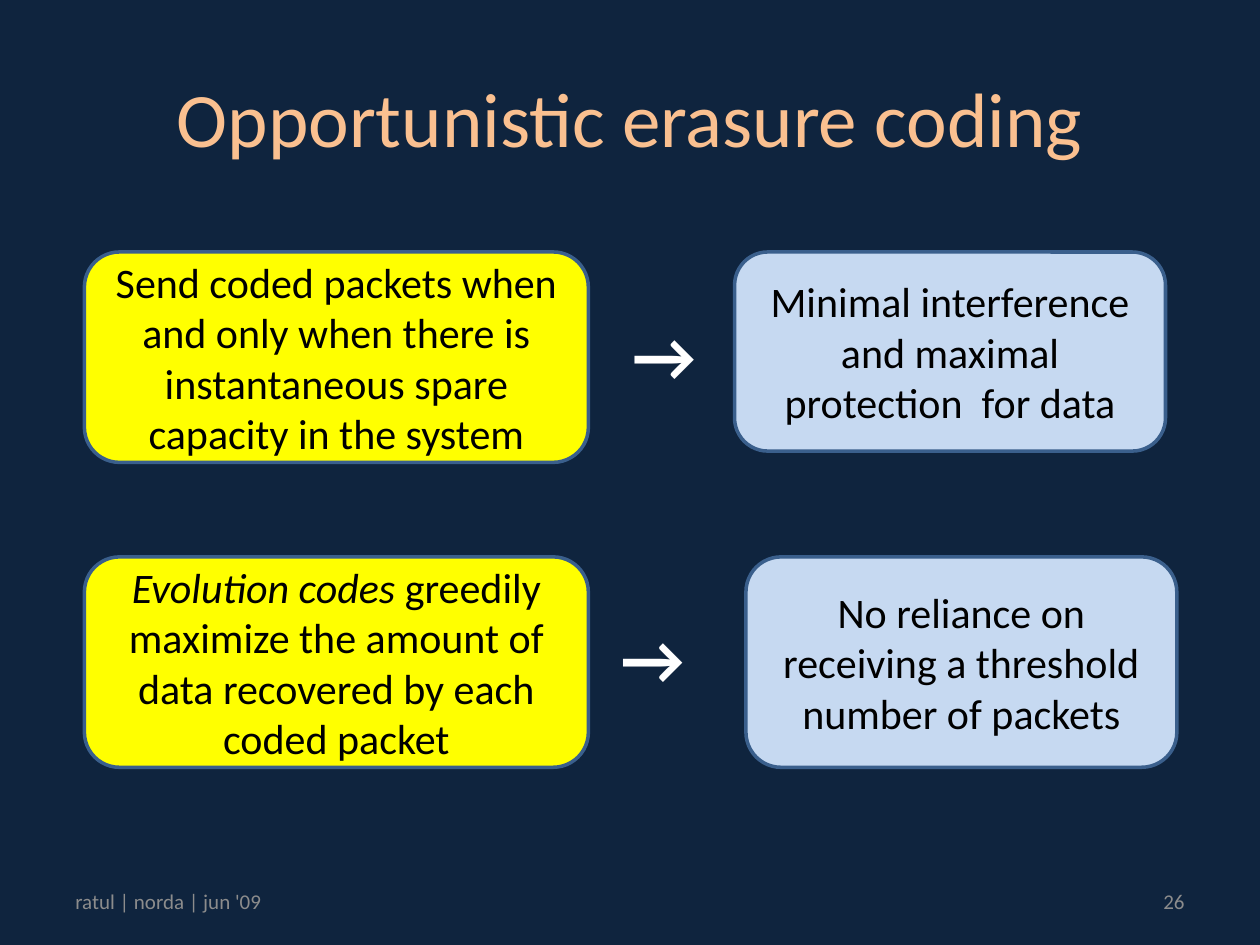
from pptx import Presentation
from pptx import util as u
from pptx.dml.color import RGBColor
from pptx.enum import shapes, text

NAVY = RGBColor(0x0F, 0x24, 0x3E)
PEACH = RGBColor(0xFA, 0xC0, 0x90)
YELLOW = RGBColor(0xFF, 0xFF, 0x00)
PALE_BLUE = RGBColor(0xC6, 0xD9, 0xF1)
OUTLINE = RGBColor(0x3A, 0x5F, 0x8C)
GRAY = RGBColor(0x8C, 0x8C, 0x8C)
BLACK = RGBColor(0x00, 0x00, 0x00)
WHITE = RGBColor(0xFF, 0xFF, 0xFF)
FONT = "Calibri"
CENTER, LEFT, RIGHT = (text.PP_ALIGN.CENTER, text.PP_ALIGN.LEFT,
                       text.PP_ALIGN.RIGHT)
MIDDLE, TOP = text.MSO_ANCHOR.MIDDLE, text.MSO_ANCHOR.TOP


def inches(box):
    """Convert a left, top, width, height box to lengths."""
    return [u.Inches(value) for value in box]


def write(shape, runs, size, color, alignment, anchor=MIDDLE, bold=False):
    """Fill a shape with one paragraph of (wording, italic) runs."""
    frame = shape.text_frame
    frame.word_wrap = True
    frame.vertical_anchor = anchor
    paragraph = frame.paragraphs[0]
    paragraph.alignment = alignment
    for wording, italic in runs:
        run = paragraph.add_run()
        run.text = wording
        run.font.name = FONT
        run.font.size = u.Pt(size)
        run.font.color.rgb = color
        run.font.bold = bold
        run.font.italic = italic


def place_title(slide, box, wording):
    """Move and format the title placeholder."""
    title = slide.shapes.title
    title.left, title.top, title.width, title.height = inches(box)
    write(title, [(wording, False)], 44, PEACH, CENTER)


def add_card(slide, box, fill, runs):
    """Add a rounded card with centred text."""
    card = slide.shapes.add_shape(
        shapes.MSO_SHAPE.ROUNDED_RECTANGLE, *inches(box))
    card.shadow.inherit = False
    card.fill.solid()
    card.fill.fore_color.rgb = fill
    card.line.color.rgb = OUTLINE
    card.line.width = u.Pt(2)
    write(card, runs, 24, BLACK, CENTER)


def add_label(slide, box, wording, size, color, alignment, **style):
    """Add a text box with a single run."""
    label = slide.shapes.add_textbox(*inches(box))
    write(label, [(wording, False)], size, color, alignment, **style)


def add_implication(slide, box, arrow_offset, result_height, cause, result):
    """Add a cause card, an arrow and a result card inside the box."""
    left, top, width, height = box
    result_width = 3.42
    add_card(slide, (left + width - result_width, top, result_width,
                     result_height), PALE_BLUE, result)
    add_label(slide, (left + width - 4.33 + arrow_offset[0],
                      top + arrow_offset[1], 0.67, 0.77),
              "→", 40, WHITE, LEFT, anchor=TOP, bold=True)
    add_card(slide, (left, top, 4, height), YELLOW, cause)


def add_footer(slide, box, credit, number):
    """Add the credit at the left and the page number at the right."""
    left, top, width, height = box
    label_width = 2.33
    add_label(slide, (left, top, label_width, height), credit, 12, GRAY, LEFT)
    add_label(slide, (left + width - label_width, top, label_width, height),
              number, 12, GRAY, RIGHT)


def main():
    """Build and save the slide."""
    presentation = Presentation()
    presentation.slide_width = u.Inches(10)
    presentation.slide_height = u.Inches(7.5)
    slide = presentation.slides.add_slide(presentation.slide_layouts[5])
    slide.background.fill.solid()
    slide.background.fill.fore_color.rgb = NAVY

    place_title(slide, (0.5, 0.3, 9, 1.25), "Opportunistic erasure coding")
    add_implication(
        slide, (0.67, 2, 8.58, 1.67), (0, 0.42), 1.58,
        [("Send coded packets when and only when there is instantaneous "
          "spare capacity in the system", False)],
        [("Minimal interference and maximal protection  for data", False)])
    add_implication(
        slide, (0.67, 4.42, 8.67, 1.67), (-0.18, 0.41), 1.67,
        [("Evolution codes", True),
         (" greedily maximize the amount of data recovered by each coded "
          "packet", False)],
        [("No reliance on receiving a threshold number of packets", False)])
    add_footer(slide, (0.5, 6.95, 9, 0.4), "ratul | norda | jun '09", "26")
    presentation.save("out.pptx")


if __name__ == "__main__":
    main()
